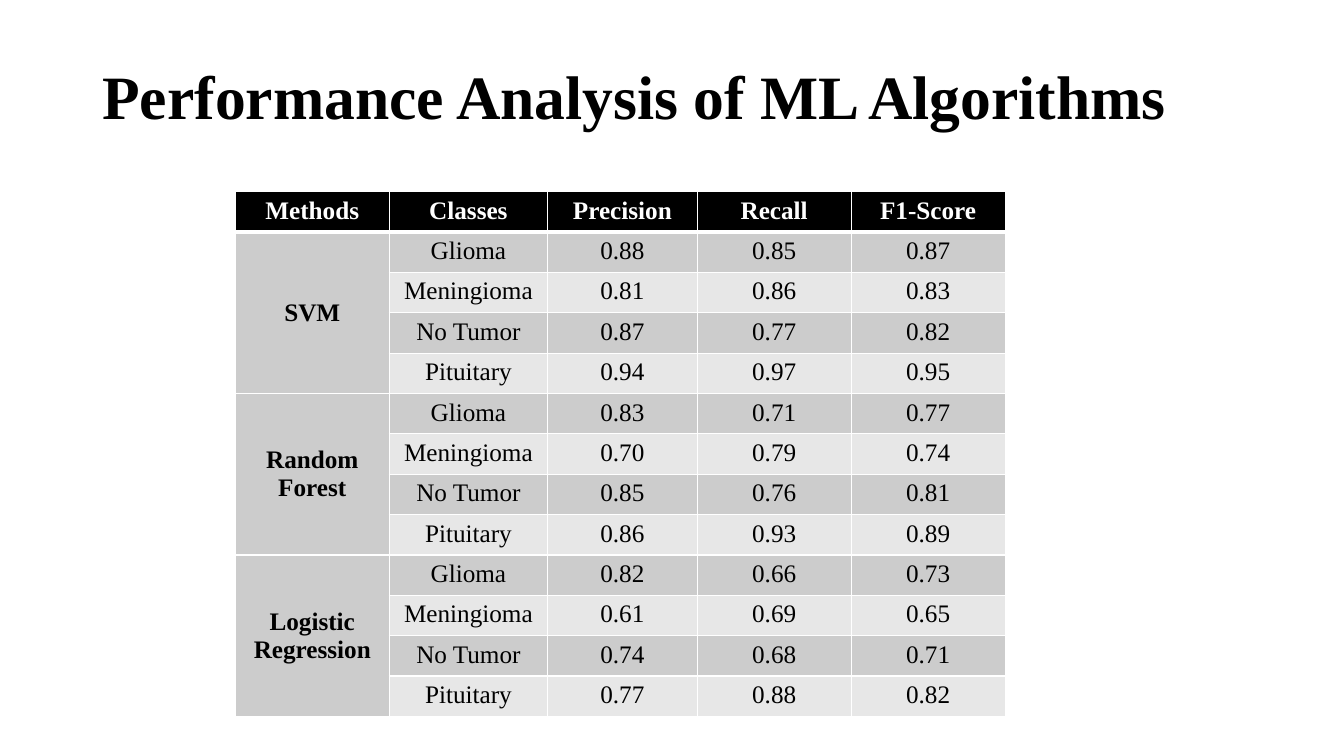
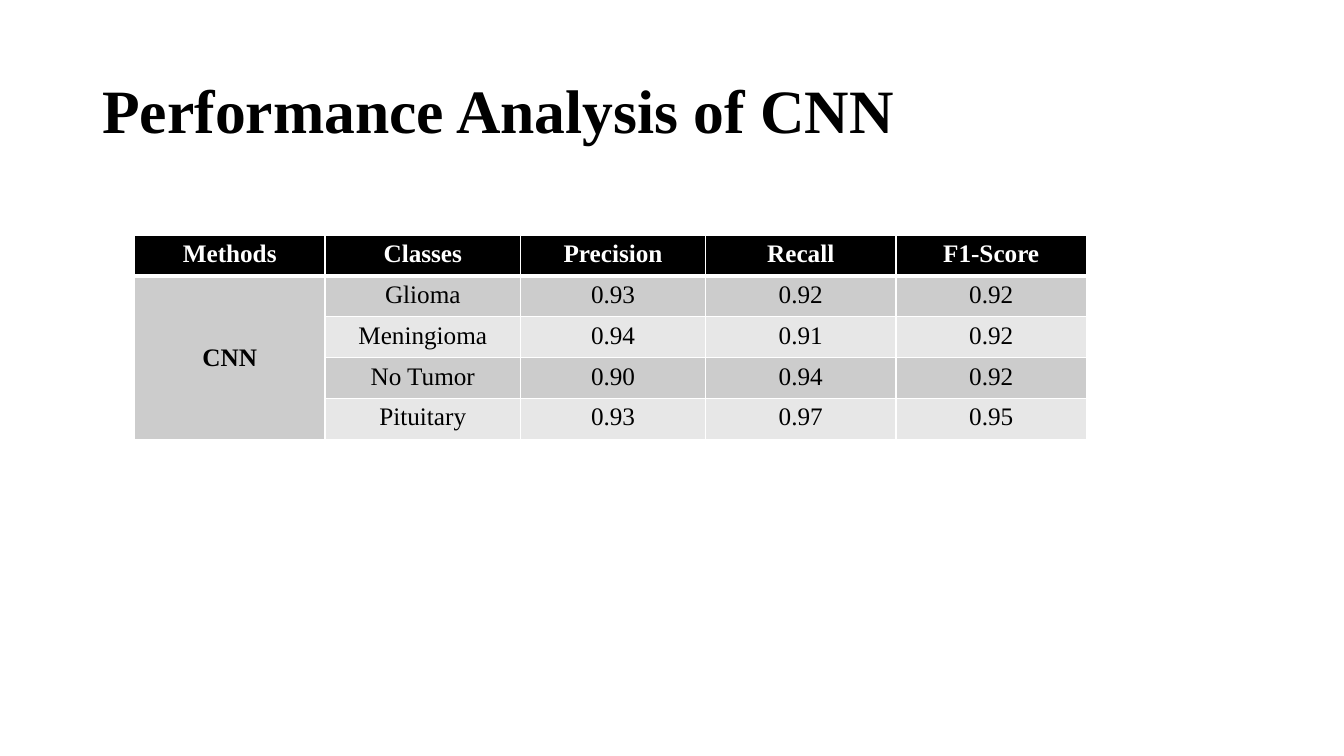
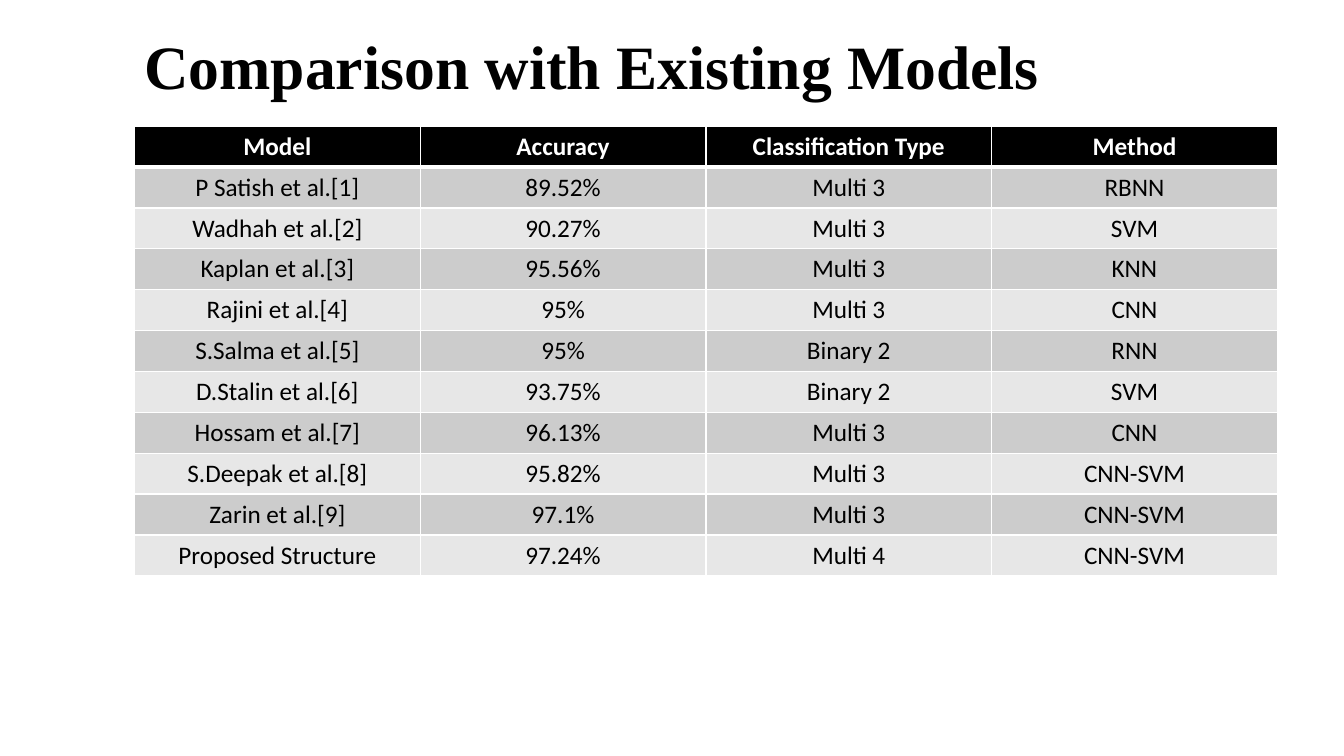
import pptx
import pptx.dml.color
import pptx.enum.text
import pptx.oxml
import pptx.util
from pptx.util import Cm

SERIF = "Times New Roman"
SANS = "Calibri"
BLACK = "000000"
WHITE = "FFFFFF"
BANDS = ("CCCCCC", "E7E7E7")
NAMESPACE = "http://schemas.openxmlformats.org/drawingml/2006/main"

SCORE_HEADER = ("Methods", "Classes", "Precision", "Recall", "F1-Score")
CLASSES = ("Glioma", "Meningioma", "No Tumor", "Pituitary")
ML_SCORES = {
    "SVM": ("0.88 0.85 0.87", "0.81 0.86 0.83", "0.87 0.77 0.82", "0.94 0.97 0.95"),
    "Random\nForest": ("0.83 0.71 0.77", "0.70 0.79 0.74", "0.85 0.76 0.81", "0.86 0.93 0.89"),
    "Logistic\nRegression": ("0.82 0.66 0.73", "0.61 0.69 0.65", "0.74 0.68 0.71", "0.77 0.88 0.82"),
}
CNN_SCORES = {
    "CNN": ("0.93 0.92 0.92", "0.94 0.91 0.92", "0.90 0.94 0.92", "0.93 0.97 0.95"),
}
MODEL_ROWS = (
    ("Model", "Accuracy", "Classification Type", "Method"),
    ("P Satish et al.[1]", "89.52%", "Multi 3", "RBNN"),
    ("Wadhah et al.[2]", "90.27%", "Multi 3", "SVM"),
    ("Kaplan et al.[3]", "95.56%", "Multi 3", "KNN"),
    ("Rajini et al.[4]", "95%", "Multi 3", "CNN"),
    ("S.Salma et al.[5]", "95%", "Binary 2", "RNN"),
    ("D.Stalin et al.[6]", "93.75%", "Binary 2", "SVM"),
    ("Hossam et al.[7]", "96.13%", "Multi 3", "CNN"),
    ("S.Deepak et al.[8]", "95.82%", "Multi 3", "CNN-SVM"),
    ("Zarin et al.[9]", "97.1%", "Multi 3", "CNN-SVM"),
    ("Proposed Structure", "97.24%", "Multi 4", "CNN-SVM"),
)


def color(value):
    return pptx.dml.color.RGBColor.from_string(value)


def style_font(font, name, size, value, bold):
    font.name = name
    font.size = pptx.util.Pt(size)
    font.bold = bold
    font.color.rgb = color(value)


def add_title_slide(presentation, title, left, top, width, height):
    slide = presentation.slides.add_slide(presentation.slide_layouts[6])
    shape = slide.shapes.add_textbox(Cm(left), Cm(top), Cm(width), Cm(height))
    frame = shape.text_frame
    frame.word_wrap = True
    frame.vertical_anchor = pptx.enum.text.MSO_ANCHOR.MIDDLE
    paragraph = frame.paragraphs[0]
    paragraph.text = title
    paragraph.line_spacing = 0.9
    style_font(paragraph.font, SERIF, 44, BLACK, True)
    return slide


def set_borders(cell, top, bottom):
    properties = cell._tc.get_or_add_tcPr()
    for side, points in (("L", 1), ("R", 1), ("T", top), ("B", bottom)):
        properties.append(pptx.oxml.parse_xml(
            f'<a:ln{side} xmlns:a="{NAMESPACE}" w="{pptx.util.Pt(points)}">'
            f'<a:solidFill><a:srgbClr val="{WHITE}"/></a:solidFill></a:ln{side}>'))


def fill_cell(cell, text, row, font_name, bold, anchor):
    is_header = row == 0
    set_borders(cell, 3 if row == 1 else 1, 3 if is_header else 1)
    cell.fill.solid()
    cell.fill.fore_color.rgb = color(BLACK if is_header else BANDS[(row - 1) % 2])
    cell.vertical_anchor = anchor
    cell.text = text
    for paragraph in cell.text_frame.paragraphs:
        paragraph.alignment = pptx.enum.text.PP_ALIGN.CENTER
        style_font(paragraph.font, font_name, 18, WHITE if is_header else BLACK, bold)


def add_grid(slide, rows, left, top, widths, row_height, font_name, anchor, bold_first=False):
    frame = slide.shapes.add_table(
        len(rows), len(widths), Cm(left), Cm(top), Cm(sum(widths)), Cm(row_height * len(rows)))
    table = frame.table
    for column, width in zip(table.columns, widths):
        column.width = Cm(width)
    for row, texts in enumerate(rows):
        table.rows[row].height = Cm(row_height)
        for column, text in enumerate(texts):
            bold = row == 0 or (bold_first and column == 0)
            fill_cell(table.cell(row, column), text, row, font_name, bold, anchor)
    return table


def add_score_table(slide, scores, left, top, widths, row_height):
    rows = [SCORE_HEADER]
    for method, lines in scores.items():
        for index, (name, line) in enumerate(zip(CLASSES, lines)):
            rows.append((method if index == 0 else "", name, *line.split()))
    table = add_grid(slide, rows, left, top, widths, row_height, SERIF,
                     pptx.enum.text.MSO_ANCHOR.TOP, bold_first=True)
    for first in range(1, len(rows), len(CLASSES)):
        method_cell = table.cell(first, 0)
        method_cell.merge(table.cell(first + len(CLASSES) - 1, 0))
        method_cell.vertical_anchor = pptx.enum.text.MSO_ANCHOR.MIDDLE


def main():
    presentation = pptx.Presentation()
    presentation.slide_width = Cm(33.87)
    presentation.slide_height = Cm(19.05)

    slide = add_title_slide(
        presentation, "Performance Analysis of ML Algorithms", 2.33, 1.01, 29.21, 3)
    add_score_table(slide, ML_SCORES, 5.93, 4.83, (3.88, 3.99, 3.77, 3.88, 3.88), 0.97)

    slide = add_title_slide(
        presentation, "Performance Analysis of CNN", 2.33, 1.01, 29.21, 3.68)
    add_score_table(slide, CNN_SCORES, 3.39, 5.92, (4.8, 4.93, 4.66, 4.8, 4.8), 1.03)

    slide = add_title_slide(
        presentation, "Comparison with Existing Models", 3.39, 0.76, 28.14, 1.98)
    add_grid(slide, MODEL_ROWS, 3.39, 3.18, (7.2,) * 4, 1.03, SANS,
             pptx.enum.text.MSO_ANCHOR.MIDDLE)

    presentation.save("out.pptx")


if __name__ == "__main__":
    main()
